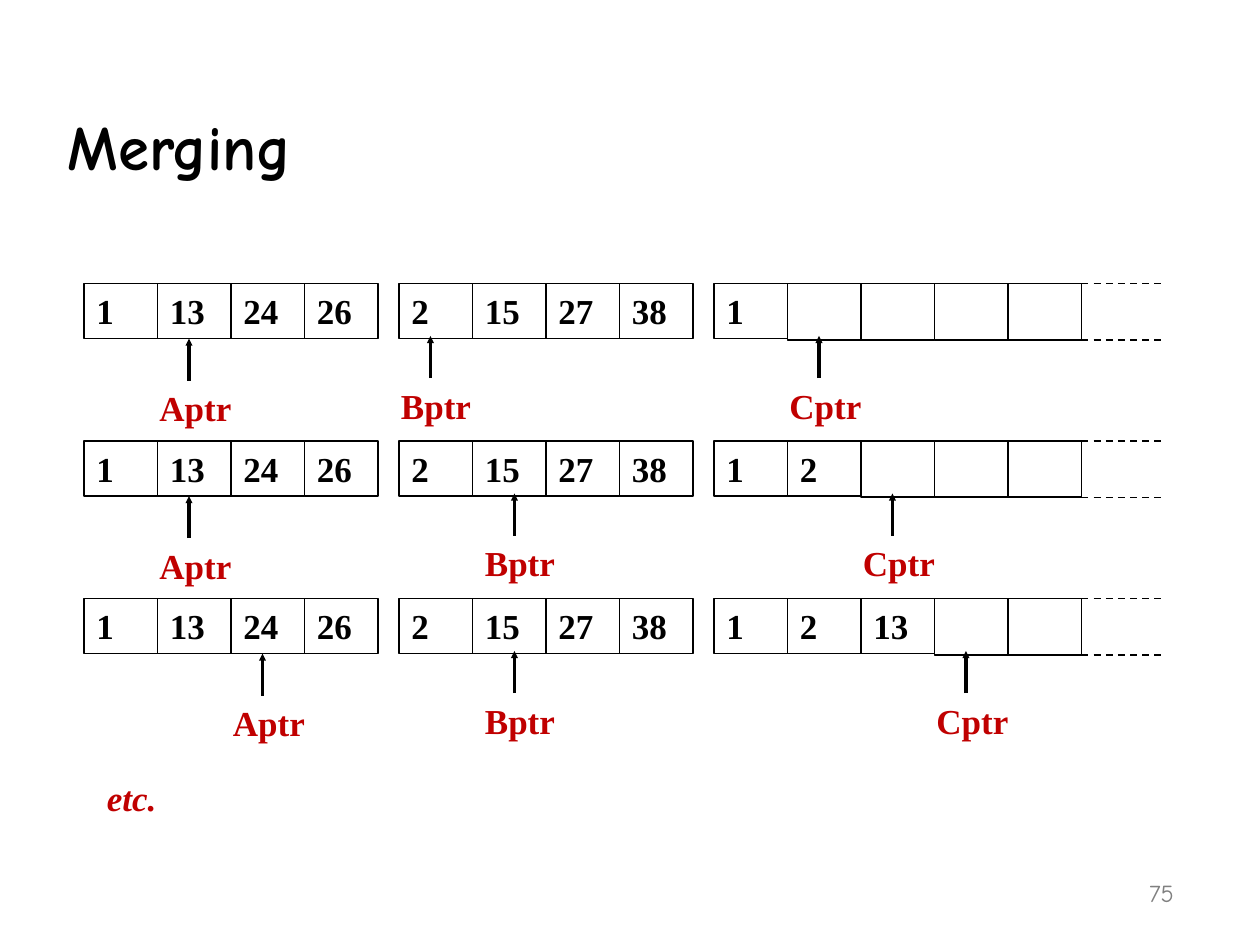
from lxml.etree import SubElement
from pptx import Presentation
from pptx.dml.color import RGBColor
from pptx.enum.dml import MSO_LINE_DASH_STYLE as Dash
from pptx.enum.shapes import MSO_CONNECTOR as Connector, MSO_SHAPE as Shape
from pptx.enum.text import MSO_ANCHOR as Anchor, MSO_AUTO_SIZE as AutoSize, PP_ALIGN as Align
from pptx.oxml.ns import qn
from pptx.util import Pt

# Content: values of A and B, then each step's merged values and
# the pointers as (label, cell index, arrow offset within the cell)
LIST_A = [1, 13, 24, 26]
LIST_B = [2, 15, 27, 38]
MERGED_SIZE = 5
STEPS = [
    ([1], [("Aptr", 1, 24), ("Bptr", 0, 24), ("Cptr", 1, 24)]),
    ([1, 2], [("Aptr", 1, 24), ("Bptr", 1, 32), ("Cptr", 2, 24)]),
    ([1, 2, 13], [("Aptr", 2, 24), ("Bptr", 1, 32), ("Cptr", 3, 24)]),
]

# Layout in px, 96 to the inch
PX = 9525
LIST_LEFTS = [64, 304, 544]
FIRST_TOP, STEP_PITCH = 216, 120
CELL_WIDTH, CELL_HEIGHT, EMPTY_HEIGHT = 56, 42, 43
POINTER_DROPS = [42, 40, 40]
ARROW_LENGTH, DASH_LENGTH = 32, 64
LABEL_WIDTH, LABEL_SHIFT = 80, 32

BLACK, RED, GRAY = "000000", "C00000", "808080"
SERIF, COMIC = "Times New Roman", "Comic Neue"

presentation = Presentation()
presentation.slide_width, presentation.slide_height = 960 * PX, 720 * PX
slide = presentation.slides.add_slide(presentation.slide_layouts[6])


def color(hex_string):
    return RGBColor.from_string(hex_string)


def write(shape, text, size=20, font=SERIF, ink=BLACK, bold=True, italic=False,
          align=Align.LEFT, anchor=Anchor.TOP, grow=True):
    frame = shape.text_frame
    frame.word_wrap = True
    frame.vertical_anchor = anchor
    frame.auto_size = AutoSize.SHAPE_TO_FIT_TEXT if grow else AutoSize.NONE
    paragraph = frame.paragraphs[0]
    paragraph.alignment = align
    run = paragraph.add_run()
    run.text = str(text)
    run.font.size, run.font.name = Pt(size), font
    run.font.bold, run.font.italic = bold, italic
    run.font.color.rgb = color(ink)


def add_text(left, top, width, height, text, **text_format):
    box = slide.shapes.add_textbox(left * PX, top * PX, width * PX, height * PX)
    write(box, text, **text_format)


def add_cell(left, top, value=None):
    height = EMPTY_HEIGHT if value is None else CELL_HEIGHT
    cell = slide.shapes.add_shape(
        Shape.RECTANGLE, left * PX, top * PX, CELL_WIDTH * PX, height * PX)
    cell.shadow.inherit = False
    cell.fill.background()
    cell.line.color.rgb = color(BLACK)
    cell.line.width = Pt(1)
    if value is not None:
        write(cell, value)


def add_line(x1, y1, x2, y2, width=1, dash=None, arrow=False):
    line = slide.shapes.add_connector(
        Connector.STRAIGHT, x1 * PX, y1 * PX, x2 * PX, y2 * PX)
    line.line.color.rgb = color(BLACK)
    line.line.width = Pt(width)
    if dash is not None:
        line.line.dash_style = dash
    if arrow:
        SubElement(line.line._get_or_add_ln(), qn("a:tailEnd"),
                   type="triangle", w="sm", len="sm")
    SubElement(line._element.spPr, qn("a:effectLst"))


# Slide number and title
add_text(704, 648, 200, 48, "75", size=14, font=COMIC, ink=GRAY, bold=False,
         align=Align.RIGHT, anchor=Anchor.BOTTOM, grow=False)
add_text(42, 24, 870, 120, "Merging", size=36, font=COMIC,
         anchor=Anchor.BOTTOM, grow=False)

for step, (merged, pointers) in enumerate(STEPS):
    top = FIRST_TOP + step * STEP_PITCH

    # Cells of the three lists
    padded = merged + [None] * (MERGED_SIZE - len(merged))
    for list_left, values in zip(LIST_LEFTS, [LIST_A, LIST_B, padded]):
        for index, value in enumerate(values):
            add_cell(list_left + index * CELL_WIDTH, top, value)

    # Dashed continuation of the merged list
    merged_right = LIST_LEFTS[-1] + MERGED_SIZE * CELL_WIDTH
    for y in (top + EMPTY_HEIGHT, top):
        add_line(merged_right, y, merged_right + DASH_LENGTH, y, dash=Dash.DASH)

    # Pointers under the lists
    for list_left, drop, (label, index, offset) in zip(LIST_LEFTS, POINTER_DROPS, pointers):
        x = list_left + index * CELL_WIDTH + offset
        tip = top + drop
        base = tip + ARROW_LENGTH
        add_text(x - LABEL_SHIFT, base, LABEL_WIDTH, CELL_HEIGHT, label, ink=RED)
        add_line(x, base, x, tip, width=2, arrow=True)

# Closing remark
add_text(72, 587, LABEL_WIDTH, CELL_HEIGHT, "etc.", ink=RED, italic=True)

presentation.save("out.pptx")
